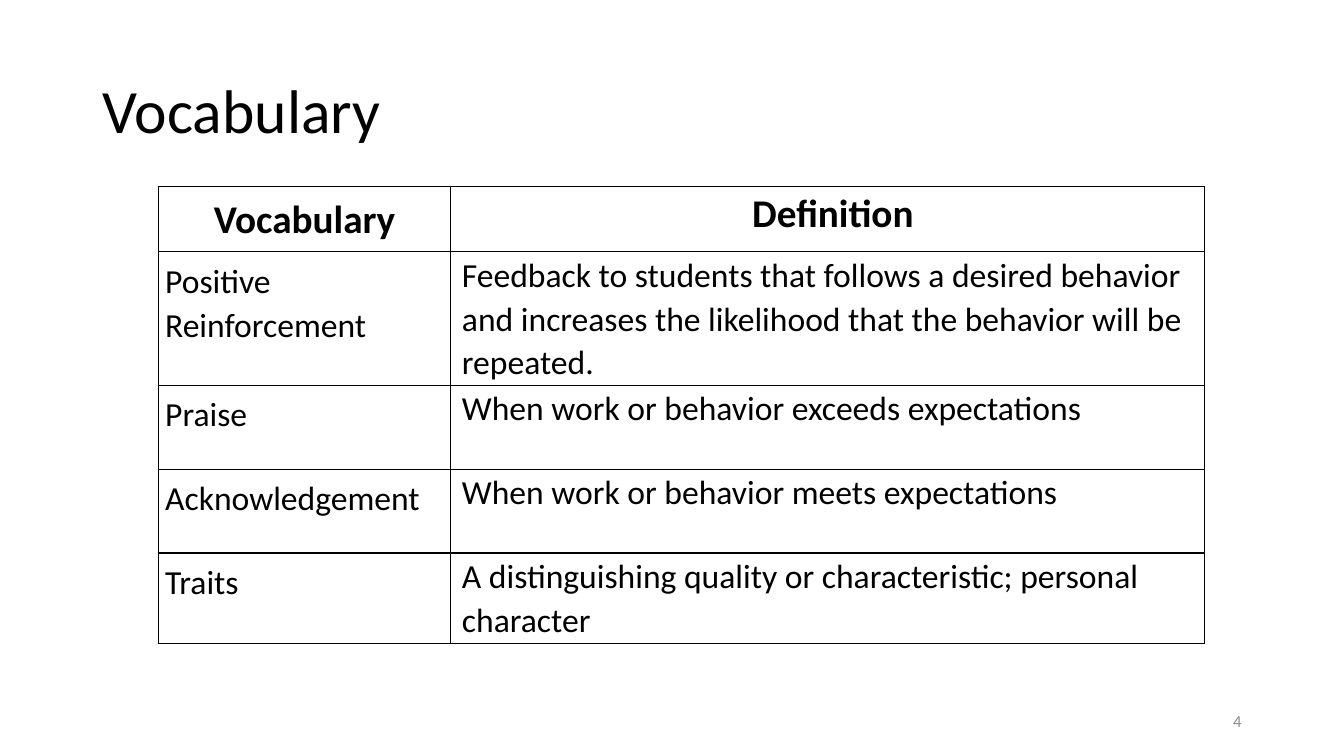
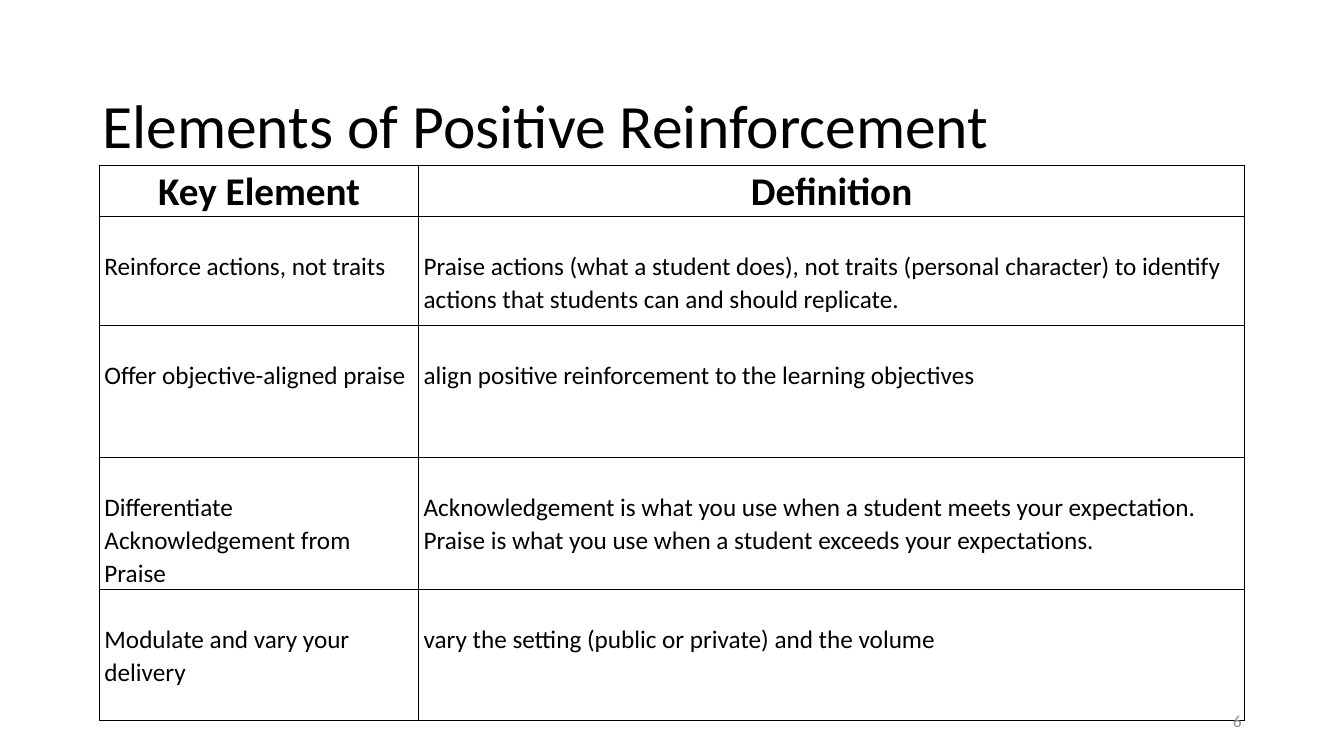
"""Build two vocabulary table slides on positive reinforcement."""
import pptx
import pptx.dml.color
import pptx.enum.text
import pptx.oxml
import pptx.oxml.ns
import pptx.util

Pt = pptx.util.Pt
PP_ALIGN = pptx.enum.text.PP_ALIGN
MSO_ANCHOR = pptx.enum.text.MSO_ANCHOR
COLORS = {"text": "000000", "border": "000000", "number": "8C8C8C", "fill": "FFFFFF"}
FONT = "Calibri"

SLIDES = [
    {
        "title": "Vocabulary", "title_top": 28.8, "number": "4",
        "left": 113, "top": 133, "cols": [209, 538.5],
        "rows": [46.5, 95.5, 60, 60, 64.5], "size": 24,
        "header_margins": [(5, 5, 5, 5), (8, 0.7, 0.7, 0.7)],
        "body_margins": [(5, 5, 5, 5), (8, 0.7, 0.7, 0.7)],
        "cells": [
            ("Vocabulary", "Definition"),
            ("Positive Reinforcement",
             "Feedback to students that follows a desired behavior and increases "
             "the likelihood that the behavior will be repeated."),
            ("Praise", "When work or behavior exceeds expectations"),
            ("Acknowledgement", "When work or behavior meets expectations"),
            ("Traits", "A distinguishing quality or characteristic; personal character"),
        ],
    },
    {
        "title": "Elements of Positive Reinforcement", "title_top": 39.6, "number": "6",
        "left": 71, "top": 118, "cols": [228, 590],
        "rows": [36.5, 78, 94.2, 94.2, 93.7], "size": 18,
        "header_margins": [(3.6, 0, 3.6, 0)] * 2,
        "body_margins": [(3.6, 23.5, 3.6, 0)] * 2,
        "cells": [
            ("Key Element", "Definition"),
            ("Reinforce actions, not traits",
             "Praise actions (what a student does), not traits (personal character) "
             "to identify actions that students can and should replicate."),
            ("Offer objective-aligned praise",
             "align positive reinforcement to the learning objectives"),
            ("Differentiate Acknowledgement from Praise",
             "Acknowledgement is what you use when a student meets your expectation. "
             "Praise is what you use when a student exceeds your expectations."),
            ("Modulate and vary your delivery",
             "vary the setting (public or private) and the volume"),
        ],
    },
]


def set_text(tf, text, size, color, align=PP_ALIGN.LEFT, spacing=1.0, bold=False):
    tf.word_wrap = True
    p = tf.paragraphs[0]
    p.text = text
    p.alignment = align
    p.line_spacing = spacing
    p.font.name = FONT
    p.font.size = Pt(size)
    p.font.bold = bold
    p.font.color.rgb = pptx.dml.color.RGBColor.from_string(COLORS[color])


def format_cell(cell, margins):
    cell.margin_left, cell.margin_top, cell.margin_right, cell.margin_bottom = map(Pt, margins)
    cell.vertical_anchor = MSO_ANCHOR.TOP
    cell.fill.solid()
    cell.fill.fore_color.rgb = pptx.dml.color.RGBColor.from_string(COLORS["fill"])
    tcPr = cell._tc.get_or_add_tcPr()
    for i, side in enumerate(("lnL", "lnR", "lnT", "lnB")):
        tcPr.insert(i, pptx.oxml.parse_xml(
            f'<a:{side} {pptx.oxml.ns.nsdecls("a")} w="{Pt(1)}"><a:solidFill>'
            f'<a:srgbClr val="{COLORS["border"]}"/></a:solidFill></a:{side}>'))


prs = pptx.Presentation()
prs.slide_width, prs.slide_height = Pt(960), Pt(540)

for data in SLIDES:
    s = prs.slides.add_slide(prs.slide_layouts[5])

    title = s.shapes.title
    title.left, title.top, title.width, title.height = Pt(66), Pt(data["title_top"]), Pt(828), Pt(104.4)
    tf = title.text_frame
    tf.auto_size = pptx.enum.text.MSO_AUTO_SIZE.NONE
    tf.vertical_anchor = MSO_ANCHOR.MIDDLE
    set_text(tf, data["title"], 44, "text", spacing=0.9)

    tbl = s.shapes.add_table(len(data["rows"]), len(data["cols"]), Pt(data["left"]), Pt(data["top"]),
                             Pt(sum(data["cols"])), Pt(sum(data["rows"]))).table
    tbl.first_row = tbl.horz_banding = False
    for col, width in zip(tbl.columns, data["cols"]):
        col.width = Pt(width)
    for r, (height, texts) in enumerate(zip(data["rows"], data["cells"])):
        tbl.rows[r].height = Pt(height)
        header = r == 0
        margins = data["header_margins" if header else "body_margins"]
        for c, text in enumerate(texts):
            cell = tbl.cell(r, c)
            format_cell(cell, margins[c])
            set_text(cell.text_frame, text, 28 if header else data["size"], "text",
                     PP_ALIGN.CENTER if header else PP_ALIGN.LEFT, 1.07, header)

    sp = s.shapes.add_textbox(Pt(678), Pt(500.4), Pt(216), Pt(28.8))
    sp.text_frame.vertical_anchor = MSO_ANCHOR.MIDDLE
    set_text(sp.text_frame, data["number"], 12, "number", PP_ALIGN.RIGHT)

prs.save("out.pptx")
